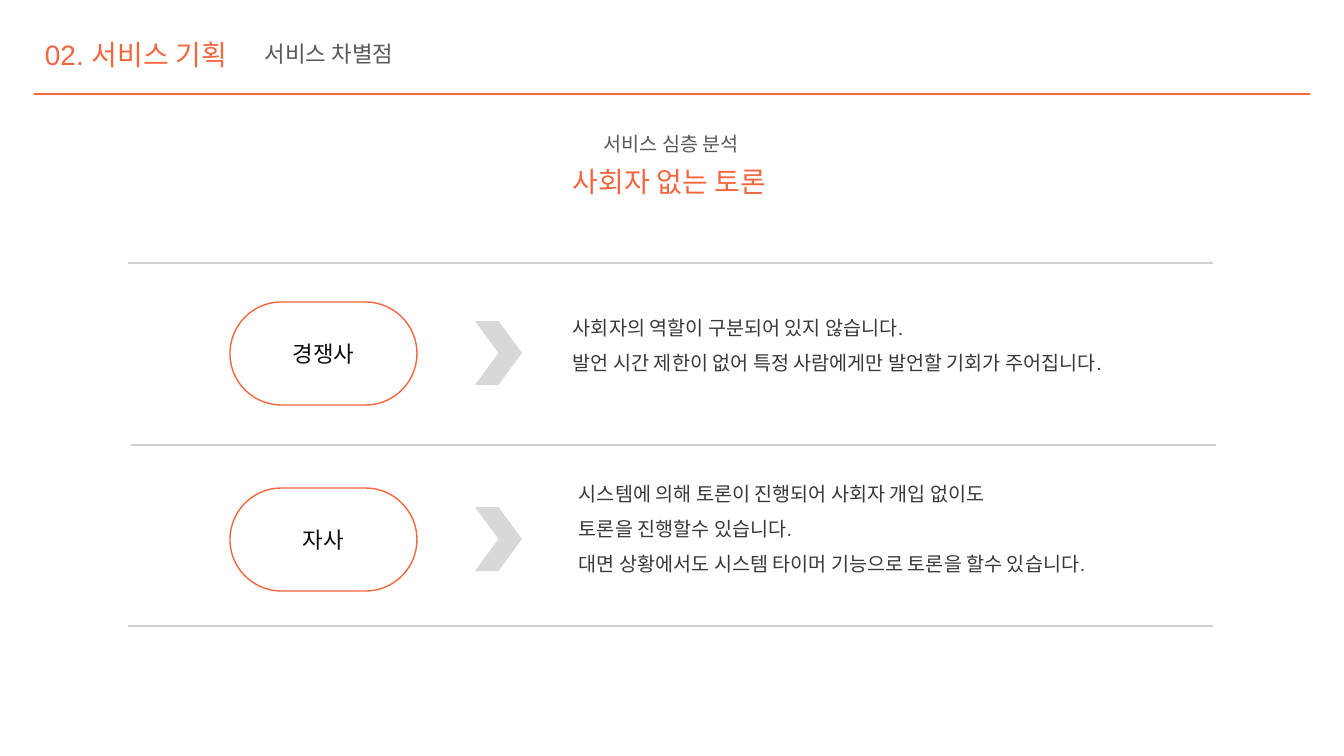
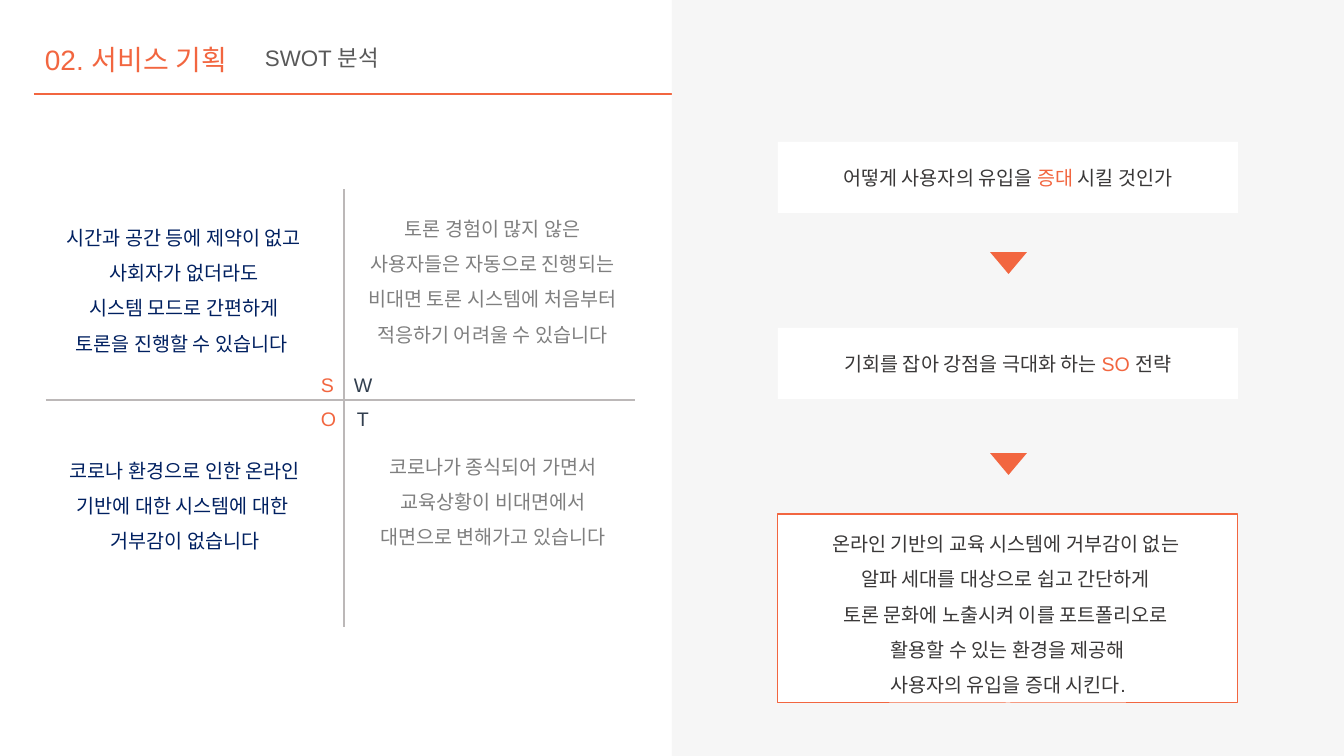
"""Builds two slides of a debate service plan: its edge over rivals and its SWOT analysis."""
import lxml.etree
import pptx
import pptx.dml.color
import pptx.enum.shapes
import pptx.enum.text
import pptx.oxml.ns
import pptx.util

PX = 914400 / 100.8
FONT = "Arial"
ORANGE = "F26640"
INK = "3A3838"
SLATE = "323F4F"
NAVY = "002060"
GRAY = "595959"
PALE_GRAY = "7F7F7F"
RULE = "D0CECE"
AXIS = "BCB8B8"
CHEVRON = "D8D8D8"
PANEL = "F6F6F6"
WHITE = "FFFFFF"
BLACK = "0C0C0C"

SHAPE = pptx.enum.shapes.MSO_SHAPE
LEFT = pptx.enum.text.PP_ALIGN.LEFT
CENTER = pptx.enum.text.PP_ALIGN.CENTER
TOP = pptx.enum.text.MSO_ANCHOR.TOP
MIDDLE = pptx.enum.text.MSO_ANCHOR.MIDDLE


def paint(target, color):
    """Give a font, fill or line format a solid colour."""
    holder = target if hasattr(target, "color") else target.fore_color
    if holder is not target:
        holder.rgb = pptx.dml.color.RGBColor.from_string(color)
    else:
        target.color.rgb = pptx.dml.color.RGBColor.from_string(color)


def write(box, text, size, color, align=CENTER, spacing=1.0, anchor=TOP, wrap=True):
    """Fill a shape with paragraphs; words between asterisks turn orange."""
    frame = box.text_frame
    frame.word_wrap = wrap
    frame.vertical_anchor = anchor
    for index, line in enumerate(text.split("\n")):
        para = frame.add_paragraph() if index else frame.paragraphs[0]
        para.alignment = align
        para.line_spacing = spacing
        para.font.name = FONT
        para.font.size = pptx.util.Pt(size)
        paint(para.font, color)
        for position, words in enumerate(line.split("*")):
            span = para.add_run()
            span.text = words
            if position % 2:
                paint(span.font, ORANGE)


deck = pptx.Presentation()
deck.slide_width = pptx.util.Emu(round(1344 * PX))
deck.slide_height = pptx.util.Emu(round(756 * PX))
edge_page, swot_page = [deck.slides.add_slide(deck.slide_layouts[6]) for _ in range(2)]

lines = [(page, 34, 94, 1310, 94, ORANGE, 2) for page in (edge_page, swot_page)]
lines += [(edge_page, x, y, x + 1085, y, RULE, 0.75) for x, y in ((128, 263), (131, 445), (128, 626))]
lines += [
    (swot_page, 344, 627, 344, 189, AXIS, 0.75),
    (swot_page, 46, 400, 635, 400, AXIS, 0.75),
]
for page, x1, y1, x2, y2, color, width in lines:
    ends = [round(value * PX) for value in (x1, y1, x2, y2)]
    line = page.shapes.add_connector(pptx.enum.shapes.MSO_CONNECTOR.STRAIGHT, *ends)
    paint(line.line, color)
    line.line.width = pptx.util.Pt(width)
    properties = line._element.find(pptx.oxml.ns.qn("p:spPr"))
    lxml.etree.SubElement(properties, pptx.oxml.ns.qn("a:effectLst"))

shapes = [(swot_page, SHAPE.RECTANGLE, 672, 0, 672, 756, PANEL, None, 0, "", 1.0)]
for top, name in ((302, "경쟁사"), (488, "자사")):
    shapes += [
        (edge_page, SHAPE.ROUNDED_RECTANGLE, 230, top, 187, 103, None, ORANGE, 1, name, 1.0),
        (edge_page, SHAPE.CHEVRON, 475, top + 19, 47, 64, CHEVRON, None, 0, "", 1.0),
    ]
cards = [
    (142, 71, None, "어떻게 사용자의 유입을 *증대 *시킬 것인가", 1.0),
    (328, 71, None, "기회를 잡아 강점을 극대화 하는 *SO* 전략", 1.0),
    (514, 189, ORANGE, "온라인 기반의 교육 시스템에 거부감이 없는 \n알파 세대를 대상으로 쉽고 간단하게 \n"
     "토론 문화에 노출시켜 이를 포트폴리오로 \n활용할 수 있는 환경을 제공해\n사용자의 유입을 증대 시킨다.", 1.5),
]
for top, height, outline, text, spacing in cards:
    shapes.append((swot_page, SHAPE.RECTANGLE, 778, top, 460, height, WHITE, outline, 0.75, text, spacing))
for top in (252, 453):
    shapes.append((swot_page, SHAPE.ISOSCELES_TRIANGLE, 990, top, 37, 22, ORANGE, None, 0, "", 1.0))

for page, kind, left, top, width, height, fill, outline, weight, text, spacing in shapes:
    shape = page.shapes.add_shape(kind, *[round(value * PX) for value in (left, top, width, height)])
    shape.shadow.inherit = False
    if fill:
        shape.fill.solid()
        paint(shape.fill, fill)
    else:
        shape.fill.background()
    if outline:
        paint(shape.line, outline)
        shape.line.width = pptx.util.Pt(weight)
    else:
        shape.line.fill.background()
    if kind in (SHAPE.ROUNDED_RECTANGLE, SHAPE.CHEVRON):
        shape.adjustments[0] = 0.5
    if kind == SHAPE.ISOSCELES_TRIANGLE:
        shape.rotation = 180
    if text:
        pill = kind == SHAPE.ROUNDED_RECTANGLE
        write(shape, text, 16 if pill else 14, BLACK if pill else INK, CENTER, spacing, MIDDLE)

texts = []
for page, topic, title_height, topic_height in (
    (edge_page, "서비스 차별점", 44, 37),
    (swot_page, "SWOT 분석", 54, 45),
):
    texts += [
        (page, 35, 24, 215, title_height, "02. 서비스 기획", 20, ORANGE, LEFT, 1.5, MIDDLE, True),
        (page, 255, 28, 672, topic_height, topic, 16, GRAY, LEFT, 1.5, MIDDLE, True),
    ]
texts += [
    (edge_page, 560, 127, 223, 34, "서비스 심층 분석", 14, GRAY, CENTER, 1.0, TOP, True),
    (edge_page, 451, 160, 443, 44, "사회자 없는 토론 ", 20, ORANGE, CENTER, 1.0, TOP, True),
    (edge_page, 563, 299, 553, 114, "사회자의 역할이 구분되어 있지 않습니다.\n"
     "발언 시간 제한이 없어 특정 사람에게만 발언할 기회가 주어집니다.", 14, INK, LEFT, 1.5, TOP, True),
    (edge_page, 569, 465, 553, 144, "시스템에 의해 토론이 진행되어 사회자 개입 없이도\n토론을 진행할수 있습니다.\n"
     "대면 상황에서도 시스템 타이머 기능으로 토론을 할수 있습니다.", 14, INK, LEFT, 1.5, TOP, True),
]
for letter, left, top, width, color in (
    ("S", 311, 368, 32, ORANGE),
    ("W", 344, 368, 39, SLATE),
    ("O", 311, 402, 34, ORANGE),
    ("T", 347, 402, 31, SLATE),
):
    texts.append((swot_page, left, top, width, 34, letter, 14, color, LEFT, 1.0, TOP, False))
for left, top, width, height, color, text in (
    (52, 209, 264, 152, NAVY,
     "시간과 공간 등에 제약이 없고 사회자가 없더라도\n시스템 모드로 간편하게 토론을 진행할 수 있습니다 "),
    (355, 200, 275, 189, PALE_GRAY,
     "토론 경험이 많지 않은 사용자들은 자동으로 진행되는 비대면 토론 시스템에 처음부터 적응하기 어려울 수 있습니다"),
    (53, 442, 264, 152, NAVY,
     "코로나 환경으로 인한 온라인 기반에 대한 시스템에 대한 \n거부감이 없습니다"),
    (361, 438, 264, 152, PALE_GRAY,
     "코로나가 종식되어 가면서 교육상황이 비대면에서 대면으로 변해가고 있습니다"),
):
    texts.append((swot_page, left, top, width, height, text, 14, color, CENTER, 1.5, TOP, True))

for page, left, top, width, height, *content in texts:
    box = page.shapes.add_textbox(*[round(value * PX) for value in (left, top, width, height)])
    write(box, *content)

deck.save("out.pptx")
